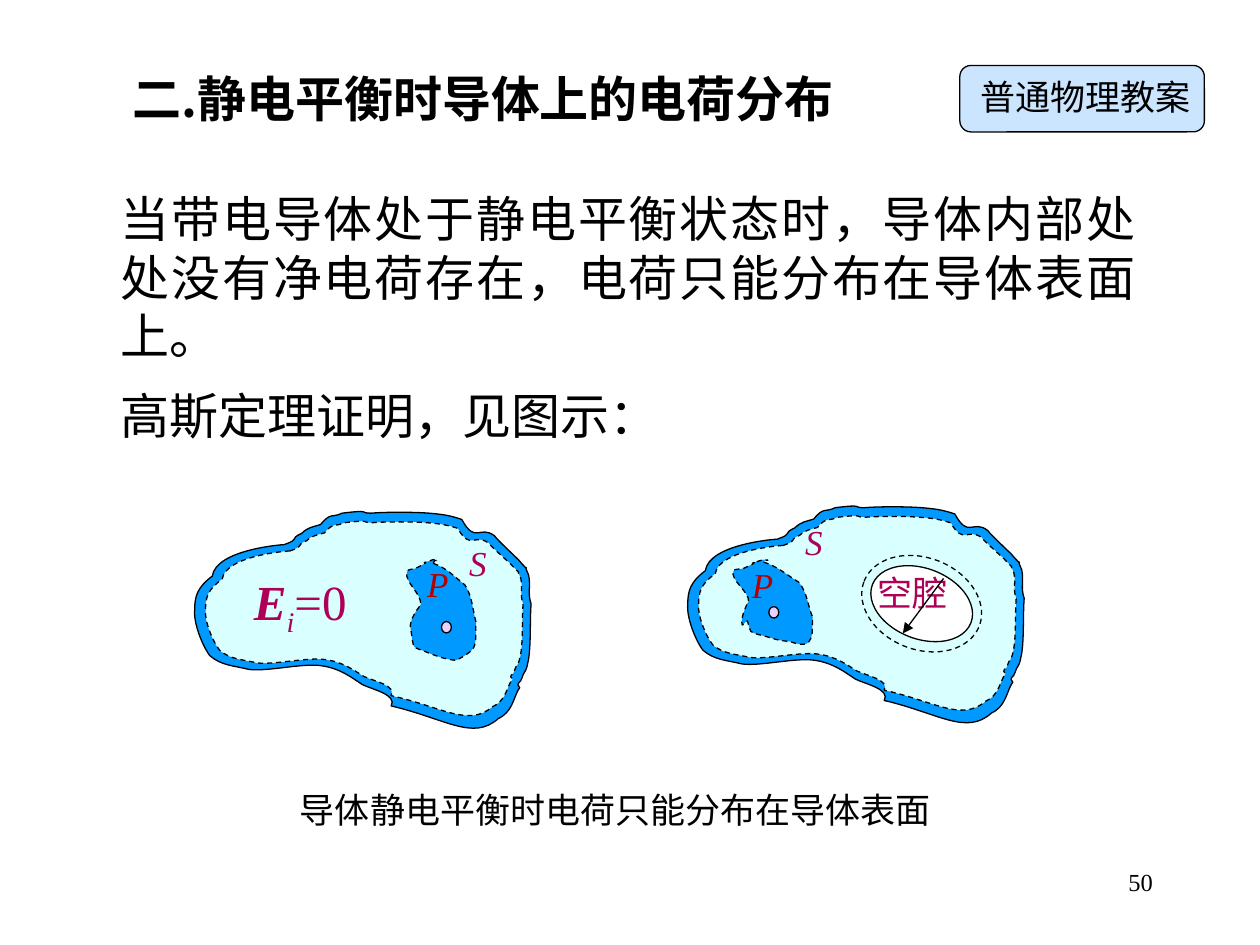
from lxml.etree import SubElement
from pptx import Presentation
from pptx.dml.color import RGBColor
from pptx.enum.dml import MSO_LINE
from pptx.enum.shapes import MSO_CONNECTOR, MSO_SHAPE
from pptx.enum.text import PP_ALIGN
from pptx.oxml.ns import qn
from pptx.util import Cm, Pt

COLORS = {
    "black": "000000", "white": "FFFFFF", "charge": "0099FF",
    "interior": "D9FFFF", "dot": "E8D1FF", "badge": "99CCFF",
    "label": "AE0057", "point": "B60000",
}
CJK, ROMAN = "Noto Sans CJK SC", "Times New Roman"

TITLE = "二.静电平衡时导体上的电荷分布"
BODY = ["当带电导体处于静电平衡状态时，导体内部处处没有净电荷存在，电荷只能分布在导体表面上。",
        "高斯定理证明，见图示："]
CAPTION = "导体静电平衡时电荷只能分布在导体表面"
BADGE = "普通物理教案"
PAGE = "50"

# Outlines in hundredths of an inch: a start point, then cubic Bézier segments.
CONDUCTOR = [
    (72, 28),
    (86, 23, 75, 24, 86, 19), (91, 14, 95, 14, 101, 12), (109, 2, 110, 7, 118, 3),
    (142, 0, 131, 3, 141, 3), (152, 2, 175, 2, 187, 3), (199, 4, 204, 5, 213, 8),
    (224, 28, 227, 12, 239, 21), (241, 24, 256, 38, 258, 40),
    (270, 54, 260, 39, 266, 52), (268, 61, 265, 66, 268, 75),
    (267, 88, 268, 106, 266, 119), (265, 123, 265, 126, 263, 129),
    (261, 131, 261, 136, 258, 138), (256, 140, 261, 141, 258, 143),
    (254, 150, 253, 161, 242, 166), (222, 184, 200, 166, 157, 156),
    (162, 147, 142, 143, 134, 139), (125, 133, 116, 126, 101, 124),
    (86, 122, 58, 129, 44, 127), (32, 124, 22, 124, 13, 116),
    (7, 108, 0, 90, 1, 80), (1, 69, 3, 62, 15, 53), (18, 32, 70, 28, 72, 28),
]
LEFT_VOLUME = [
    (23, 5),
    (34, 9, 39, 15, 48, 22), (54, 31, 54, 41, 57, 52), (56, 58, 58, 66, 55, 72),
    (52, 77, 41, 82, 41, 82), (31, 81, 24, 78, 14, 74), (11, 73, 7, 72, 7, 69),
    (6, 65, 6, 61, 5, 57), (3, 50, 13, 38, 13, 38), (14, 29, 0, 20, 2, 12),
    (3, 9, 7, 10, 9, 9), (27, 0, 6, 8, 23, 2), (31, 5, 23, 0, 23, 5),
]
RIGHT_VOLUME = [
    (27, 4),
    (39, 8, 45, 14, 55, 20), (62, 29, 62, 39, 66, 48), (65, 55, 67, 62, 63, 67),
    (60, 72, 48, 67, 48, 67), (36, 66, 37, 65, 25, 62), (21, 61, 16, 60, 16, 57),
    (13, 49, 16, 49, 10, 54), (8, 48, 15, 35, 15, 35), (16, 28, 0, 18, 3, 11),
    (4, 9, 8, 10, 11, 9), (31, 0, 7, 8, 27, 2), (35, 4, 27, 0, 27, 4),
]
# Positions are (left, top) in centimetres.
FIGURES = [
    {"conductor": (13.84, 10.16), "volume": RIGHT_VOLUME, "volume_at": (14.71, 11.23),
     "dot": (15.5, 12.23), "P": (14.91, 11.23), "S": (15.98, 10.36)},
    {"conductor": (3.9, 10.27), "volume": LEFT_VOLUME, "volume_at": (8.15, 11.23),
     "dot": (8.9, 12.53), "P": (8.36, 11.22), "S": (9.21, 10.8)},
]
INNER_OFFSET, INNER_SCALE = (0.22, 0.2), (0.944, 0.897)
CAVITY_CENTER, CAVITY_ANGLE = (18.58, 12.17), 21.2
CAVITY_RINGS = [((2.13, 1.42), "white", False), ((2.49, 1.85), None, True)]


def rgb(name):
    return RGBColor.from_string(COLORS[name])


def style(shape, fill, dashed=False):
    shape.shadow.inherit = False
    if fill:
        shape.fill.solid()
        shape.fill.fore_color.rgb = rgb(fill)
    else:
        shape.fill.background()
    shape.line.color.rgb = rgb("black")
    shape.line.width = Pt(0.75)
    if dashed:
        shape.line.dash_style = MSO_LINE.DASH


def add_preset(slide, kind, box, fill, dashed=False):
    shape = slide.shapes.add_shape(kind, *map(Cm, box))
    style(shape, fill, dashed)
    return shape


def add_outline(slide, outline, origin, fill, dashed=False, scale=(1, 1)):
    """Build a freeform through the end points, then bend its lines into curves."""
    def place(point):
        return tuple(Cm(origin[axis] + point[axis] * 0.0254 * scale[axis])
                     for axis in (0, 1))

    builder = slide.shapes.build_freeform(*place(outline[0]))
    builder.add_line_segments([place(segment[4:]) for segment in outline[1:]], close=True)
    shape = builder.convert_to_shape()
    lines = list(shape._element.iter(qn("a:lnTo")))
    for line, segment in zip(lines, outline[1:]):
        line.tag = qn("a:cubicBezTo")
        end_point = line[0]
        for control in (segment[:2], segment[2:4]):
            x, y = place(control)
            point = SubElement(line, qn("a:pt"))
            point.set("x", str(x - shape.left))
            point.set("y", str(y - shape.top))
        line.append(end_point)
    style(shape, fill, dashed)


def format_run(run, size, font, color, bold=False, italic=False):
    run.font.size, run.font.name = Pt(size), font
    run.font.bold, run.font.italic = bold, italic
    run.font.color.rgb = rgb(color)
    SubElement(run.font._element, qn("a:ea")).set("typeface", CJK)


def add_text(slide, box, lines, size=20, font=ROMAN, color="black",
             align=PP_ALIGN.JUSTIFY, margins=True, **emphasis):
    text_frame = slide.shapes.add_textbox(*map(Cm, box)).text_frame
    text_frame.word_wrap = True
    if not margins:
        text_frame.margin_left = text_frame.margin_right = 0
        text_frame.margin_top = text_frame.margin_bottom = 0
    text_frame.text = "\n".join(lines)
    for index, paragraph in enumerate(text_frame.paragraphs):
        paragraph.alignment = align
        if index:
            paragraph.space_before = Pt(12)
        for run in paragraph.runs:
            format_run(run, size, font, color, **emphasis)
    return text_frame


def add_field_label(slide):
    paragraph = add_text(slide, (4.87, 11.39, 3.18, 1.73), ["E"], 28, color="label",
                         bold=True, italic=True).paragraphs[0]
    for text, italic in (("i", True), ("=0", False)):
        run = paragraph.add_run()
        run.text = text
        format_run(run, 28, ROMAN, "label", italic=italic)
    paragraph.runs[1].font._element.set("baseline", "-25000")


def add_cavity(slide):
    for (width, height), fill, dashed in CAVITY_RINGS:
        box = (CAVITY_CENTER[0] - width / 2, CAVITY_CENTER[1] - height / 2, width, height)
        add_preset(slide, MSO_SHAPE.OVAL, box, fill, dashed).rotation = CAVITY_ANGLE
    add_text(slide, (17.44, 11.4, 3.61, 1.73), ["空腔"], color="label")


def add_cavity_arrow(slide):
    arrow = slide.shapes.add_connector(MSO_CONNECTOR.STRAIGHT,
                                       Cm(19.02), Cm(11.66), Cm(18.2), Cm(12.77))
    arrow.line.color.rgb = rgb("black")
    arrow.line.width = Pt(0.75)
    SubElement(arrow.line._get_or_add_ln(), qn("a:tailEnd")).set("type", "triangle")
    SubElement(arrow._element.spPr, qn("a:effectLst"))


def add_figure(slide, figure):
    left, top = figure["conductor"]
    add_outline(slide, CONDUCTOR, (left, top), "charge")
    add_outline(slide, CONDUCTOR, (left + INNER_OFFSET[0], top + INNER_OFFSET[1]),
                "interior", True, INNER_SCALE)
    add_outline(slide, figure["volume"], figure["volume_at"], "charge", True)
    add_preset(slide, MSO_SHAPE.OVAL, (*figure["dot"], 0.2, 0.23), "dot")
    for letter, color in (("P", "point"), ("S", "label")):
        add_text(slide, (*figure[letter], 1.65, 1.73), [letter], color=color, italic=True)


def add_badge(slide):
    badge = add_preset(slide, MSO_SHAPE.ROUNDED_RECTANGLE, (19.35, 1.32, 4.93, 1.34), "badge")
    color = badge._element.spPr.find(qn("a:solidFill"))[0]
    SubElement(color, qn("a:alpha")).set("val", "50000")
    add_text(slide, (19.76, 1.52, 4.93, 0.99), [BADGE], margins=False)


def main():
    presentation = Presentation()
    presentation.slide_width, presentation.slide_height = Cm(25.4), Cm(19.05)
    slide = presentation.slides.add_slide(presentation.slide_layouts[6])
    add_text(slide, (18.21, 17.35, 5.28, 1.27), [PAGE], 14, align=PP_ALIGN.RIGHT)
    add_text(slide, (2.18, 3.67, 20.96, 5.44), BODY, 28, CJK)
    right_figure, left_figure = FIGURES
    add_figure(slide, right_figure)
    add_cavity(slide)
    add_text(slide, (3.43, 15.77, 17.96, 1.73), [CAPTION], align=PP_ALIGN.CENTER)
    add_figure(slide, left_figure)
    add_field_label(slide)
    add_text(slide, (0.95, 1.25, 17.58, 1.45), [TITLE], 28, CJK,
             align=PP_ALIGN.CENTER, bold=True)
    add_badge(slide)
    add_cavity_arrow(slide)
    presentation.save("out.pptx")


if __name__ == "__main__":
    main()
